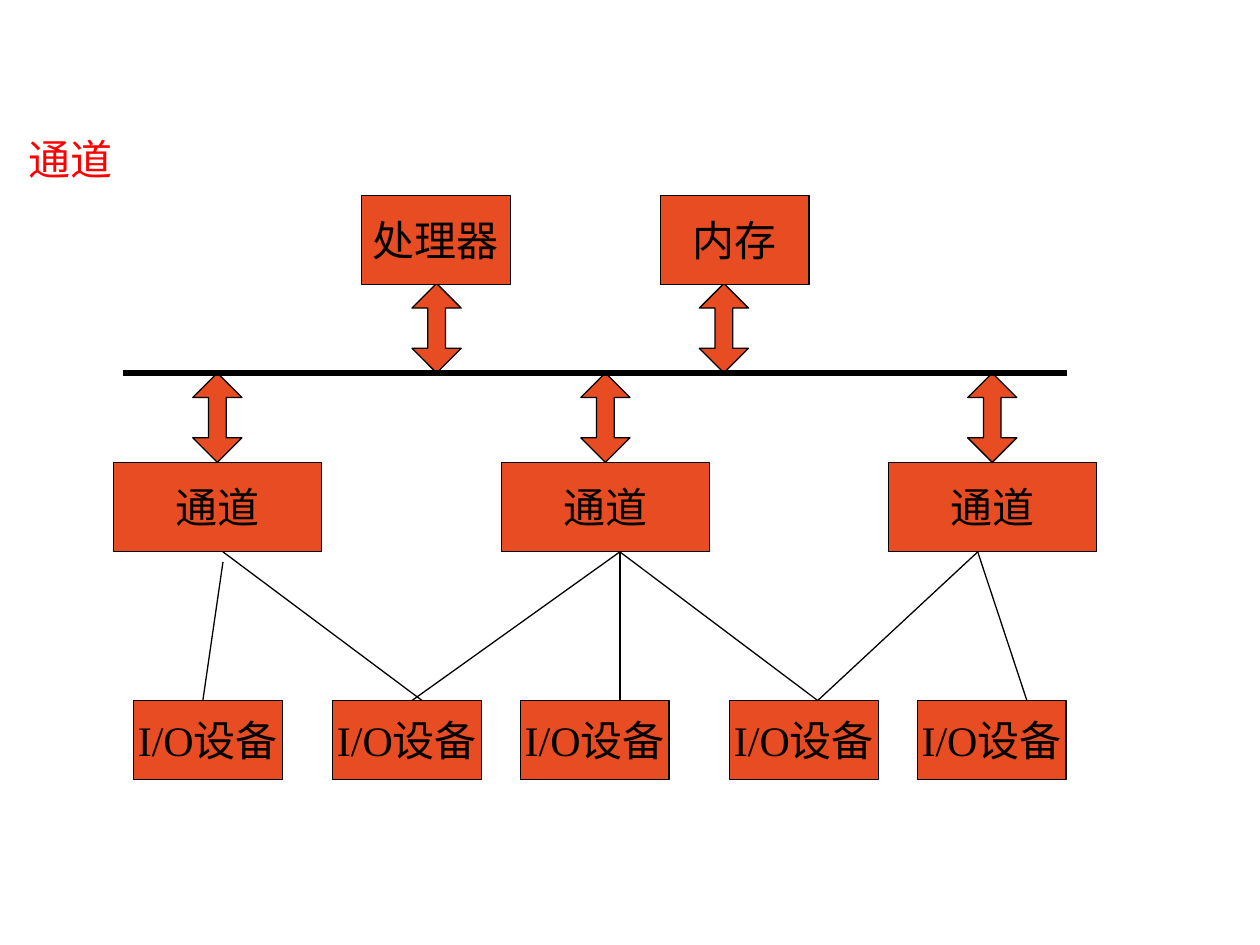
from lxml import etree
from pptx import Presentation
from pptx.dml.color import RGBColor
from pptx.enum import shapes as sh, text as tx
from pptx.oxml import ns
from pptx.util import Inches, Pt

ORANGE = RGBColor(0xE8, 0x4C, 0x22)
BLACK = RGBColor(0, 0, 0)
RED = RGBColor(0xFF, 0, 0)

# Content: rows of boxes as (label, lefts, top, width, height)
ROWS = [
    ("处理器", [2.87], 1.55, 1.18, 0.71),
    ("内存", [5.24], 1.55, 1.18, 0.71),
    ("I/O设备", [1.06, 2.64, 4.13, 5.79, 7.28], 5.56, 1.18, 0.63),
    ("通道", [0.9, 3.98, 7.05], 3.67, 1.65, 0.71),
]
BUS = 2.96  # height of the bus line
ARROW = (0.39, 0.71)
ARROWS = [(2.25, [3.27, 5.55]), (BUS, [1.53, 4.61, 7.68])]
# Links from channels down to devices: start x, start y, end x
FOOT, HEAD = 4.38, 5.56
LINKS = [
    (1.77, 4.46, 1.61), (1.77, FOOT, 3.35),
    (4.92, FOOT, 3.27), (4.92, FOOT, 4.92), (4.92, FOOT, 6.49),
    (7.76, FOOT, 6.49), (7.76, FOOT, 8.15),
]

prs = Presentation()
prs.slide_width, prs.slide_height = Inches(10), Inches(7.5)
slide = prs.slides.add_slide(prs.slide_layouts[6])


def write(shape, label, font="Times New Roman", color=BLACK,
          align=tx.PP_ALIGN.CENTER, anchor=tx.MSO_ANCHOR.MIDDLE):
    frame = shape.text_frame
    frame.word_wrap = False
    frame.vertical_anchor = anchor
    para = frame.paragraphs[0]
    para.alignment = align
    run = para.add_run()
    run.text = label
    run.font.name, run.font.size = font, Pt(24)
    run.font.color.rgb = color


def block(kind, *place):
    shape = slide.shapes.add_shape(kind, *map(Inches, place))
    shape.shadow.inherit = False
    shape.fill.solid()
    shape.fill.fore_color.rgb = ORANGE
    shape.line.color.rgb = BLACK
    shape.line.width = Pt(0.75)
    return shape


def link(x1, y1, x2, y2, width=0.75):
    line = slide.shapes.add_connector(
        sh.MSO_CONNECTOR.STRAIGHT, *map(Inches, (x1, y1, x2, y2)))
    line.line.color.rgb = BLACK
    line.line.width = Pt(width)
    etree.SubElement(line._element.spPr, ns.qn("a:effectLst"))


# Arrows and bus
for top, lefts in ARROWS:
    for left in lefts:
        arrow = block(sh.MSO_SHAPE.UP_DOWN_ARROW, left, top, *ARROW)
        arrow.adjustments[0], arrow.adjustments[1] = 0.5, 0.36
link(0.98, BUS, 8.47, BUS, width=3)

# Boxes
for label, lefts, top, wide, high in ROWS:
    for left in lefts:
        write(block(sh.MSO_SHAPE.RECTANGLE, left, top, wide, high), label)

# Channel links
for x1, y1, x2 in LINKS:
    link(x1, y1, x2, HEAD)

# Heading
title = slide.shapes.add_textbox(*map(Inches, (0.13, 1.01, 0.88, 0.5)))
write(title, "通道", font="Calibri", color=RED,
      align=tx.PP_ALIGN.LEFT, anchor=tx.MSO_ANCHOR.TOP)
title.text_frame.auto_size = tx.MSO_AUTO_SIZE.SHAPE_TO_FIT_TEXT

prs.save("out.pptx")
